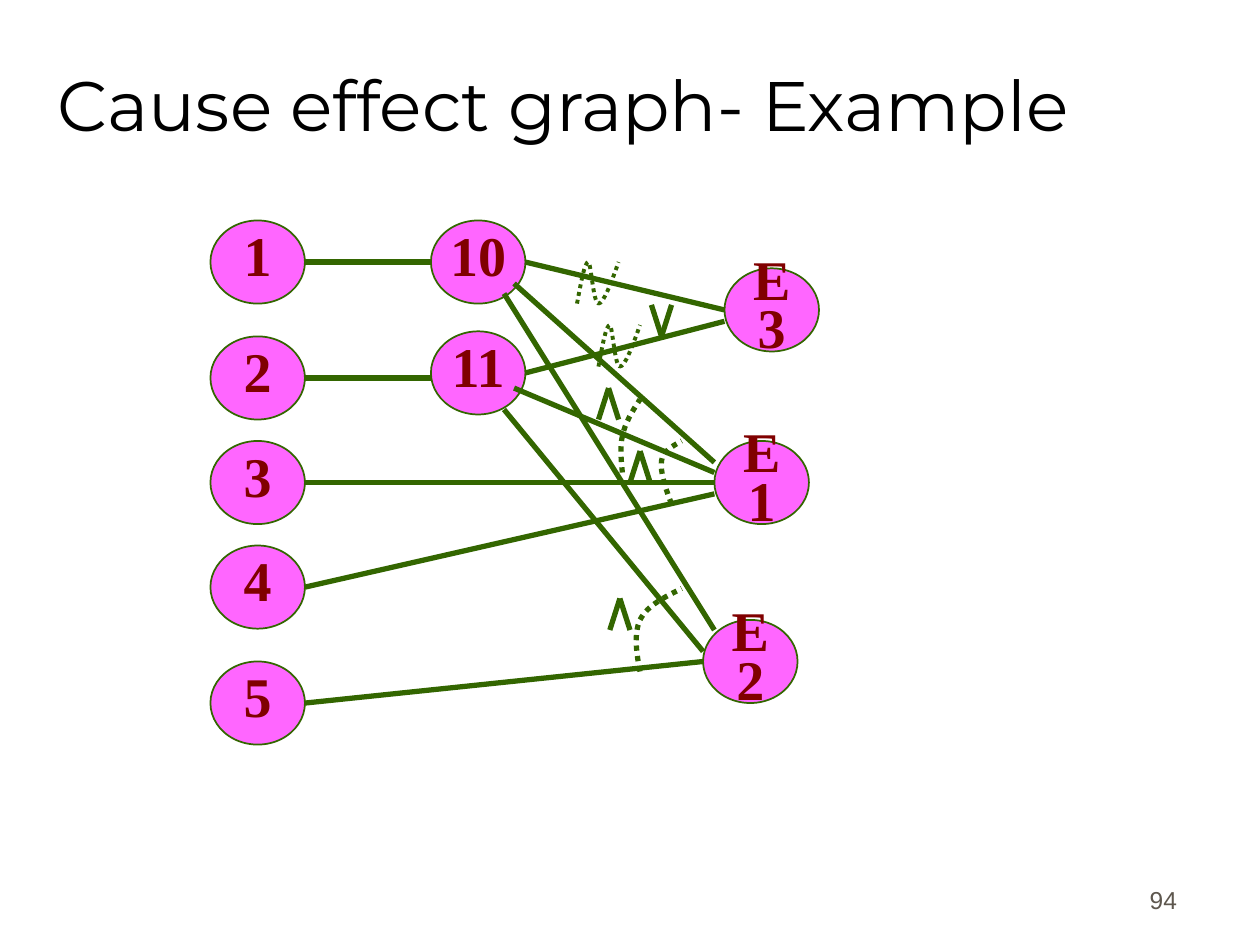
from dataclasses import dataclass
from typing import NamedTuple

from lxml.etree import SubElement
from pptx import Presentation
from pptx.dml.color import RGBColor as RGB
from pptx.enum.dml import MSO_LINE as Dash
from pptx.enum.shapes import MSO_CONNECTOR as Conn, MSO_SHAPE as Kind
from pptx.enum.text import MSO_ANCHOR as Anchor, PP_ALIGN as Align
from pptx.oxml.ns import qn
from pptx.util import Inches, Pt


@dataclass(frozen=True)
class Theme:
    ink: RGB = RGB(0x33, 0x66, 0x00)
    fill: RGB = RGB(0xFF, 0x66, 0xFF)
    label: RGB = RGB(0x80, 0x00, 0x00)
    title: RGB = RGB(0x00, 0x00, 0x00)
    number: RGB = RGB(0x5E, 0x57, 0x4E)
    title_size: float = 40
    label_size: float = 32
    number_size: float = 14
    edge: float = 3
    wave: float = 2.25
    rim: float = 1


class Point(NamedTuple):
    x: float
    y: float

    def shift(self, dx: float, dy: float) -> "Point":
        return Point(self.x + dx, self.y + dy)


@dataclass(frozen=True)
class Node:
    text: str
    x: float
    y: float

    @property
    def left(self) -> Point:
        return Point(self.x, self.y + HIGH / 2)

    @property
    def right(self) -> Point:
        return self.left.shift(WIDE, 0)


class Link(NamedTuple):
    """Joins a node's right side to another's left, each end with an offset."""
    start: str
    end: str
    out: tuple = (0, 0)
    into: tuple = (0, 0)


class Sign(NamedTuple):
    """An AND (tip up) or OR (tip down) mark."""
    tip: Point
    up: bool = True


THEME = Theme()
WIDE, HIGH = 0.75, 0.66

CAUSES = [Node(str(i), 1.67, y)
          for i, y in enumerate((1.75, 2.67, 3.5, 4.33, 5.25), 1)]
MIDDLE = [Node("10", 3.42, 1.75), Node("11", 3.42, 2.63)]
EFFECTS = [Node("E3", 5.75, 2.13), Node("E1", 5.67, 3.5), Node("E2", 5.58, 4.92)]

LINKS = [
    Link("1", "10"),
    Link("2", "11", into=(0, 0.04)),
    Link("3", "E1"),
    Link("4", "E1", into=(0, 0.09)),
    Link("5", "E2"),
    Link("10", "E3"),
    Link("11", "E3", into=(0, 0.09)),
    Link("10", "E1", (-0.09, 0.17), (0, -0.16)),
    Link("11", "E1", (-0.09, 0.12), (0, -0.08)),
    Link("10", "E2", (-0.17, 0.25), (0.09, -0.25)),
    Link("11", "E2", (-0.17, 0.29), (0, -0.08)),
]

SIGNS = [Sign(Point(4.83, 3.08)), Sign(Point(5.08, 3.58)),
         Sign(Point(4.92, 4.75)), Sign(Point(5.25, 2.67), up=False)]

# Bezier chains: a start, then two controls and an end for each piece.
WAVE = [Point(*p) for p in (
    (4.58, 2.41), (4.61, 2.25), (4.64, 2.08), (4.67, 2.08), (4.69, 2.08),
    (4.71, 2.41), (4.75, 2.41), (4.79, 2.41), (4.85, 2.25), (4.91, 2.08))]
WAVES = [[p.shift(dx, dy) for p in WAVE] for dx, dy in ((0, 0), (0.17, 0.5))]
ARCS = [[Point(*p) for p in arc] for arc in (
    ((5.08, 5.33), (5.05, 5.18), (5.03, 5.03), (5.08, 4.92),
     (5.14, 4.8), (5.28, 4.74), (5.41, 4.67)),
    ((5.33, 4), (5.28, 3.87), (5.24, 3.75), (5.25, 3.66),
     (5.26, 3.58), (5.34, 3.54), (5.41, 3.5)),
    ((4.94, 3.75), (4.93, 3.65), (4.92, 3.55), (4.94, 3.46),
     (4.96, 3.36), (5.02, 3.26), (5.08, 3.17)))]


def set_text(shape, text: str, font: str, size: float, color: RGB, align: Align,
             anchor: Anchor, before: float, inset: float = 0.02,
             bold: bool = False) -> None:
    frame = shape.text_frame
    frame.word_wrap = True
    frame.vertical_anchor = anchor
    frame.margin_left = frame.margin_right = Inches(inset)
    para = frame.paragraphs[0]
    para.text = text
    para.alignment = align
    para.space_before = Pt(before)
    para.font.name, para.font.size, para.font.bold = font, Pt(size), bold
    para.font.color.rgb = color


def add_node(shapes, node: Node) -> None:
    oval = shapes.add_shape(Kind.OVAL, Inches(node.x), Inches(node.y),
                            Inches(WIDE), Inches(HIGH))
    oval.shadow.inherit = False
    oval.fill.solid()
    oval.fill.fore_color.rgb = THEME.fill
    oval.line.color.rgb = THEME.ink
    oval.line.width = Pt(THEME.rim)
    set_text(oval, node.text, "Times New Roman", THEME.label_size, THEME.label,
             Align.CENTER, Anchor.MIDDLE, 7.1, bold=True)
    oval.text_frame.paragraphs[0].line_spacing = 0.72


def add_line(shapes, start: Point, end: Point) -> None:
    line = shapes.add_connector(Conn.STRAIGHT, *map(Inches, (*start, *end)))
    line.line.color.rgb = THEME.ink
    line.line.width = Pt(THEME.edge)
    SubElement(line._element.spPr, qn("a:effectLst"))


def add_sign(shapes, sign: Sign) -> None:
    for dx in (-0.08, 0.08):
        add_line(shapes, sign.tip.shift(dx, 0.25 if sign.up else -0.25), sign.tip)


def add_curve(shapes, chain: list[Point], width: float) -> None:
    """Draws a dotted Bezier chain, turning each three line steps into a curve."""
    pen = shapes.build_freeform(*map(Inches, chain[0]))
    pen.add_line_segments([tuple(map(Inches, p)) for p in chain[1:]], close=False)
    curve = pen.convert_to_shape()
    route = next(curve._element.iter(qn("a:path")))
    steps = route.findall(qn("a:lnTo"))
    for i in range(0, len(steps), 3):
        bend = SubElement(route, qn("a:cubicBezTo"))
        for step in steps[i:i + 3]:
            bend.append(step[0])
            route.remove(step)
    curve.shadow.inherit = False
    curve.fill.background()
    curve.line.color.rgb = THEME.ink
    curve.line.width = Pt(width)
    curve.line.dash_style = Dash.ROUND_DOT


def main() -> None:
    deck = Presentation()
    deck.slide_width, deck.slide_height = Inches(10), Inches(7.5)
    shapes = deck.slides.add_slide(deck.slide_layouts[6]).shapes

    number = shapes.add_textbox(*map(Inches, (7.36, 6.81, 2.08, 0.5)))
    set_text(number, "94", "Arial", THEME.number_size, THEME.number,
             Align.RIGHT, Anchor.BOTTOM, 8.8, inset=0.1)
    title = shapes.add_textbox(*map(Inches, (0.44, 0.2, 8.5, 1.25)))
    set_text(title, "Cause effect graph- Example", "Montserrat",
             THEME.title_size, THEME.title, Align.LEFT, Anchor.MIDDLE, 5.2)

    nodes = {node.text: node for node in CAUSES + MIDDLE + EFFECTS}
    for node in nodes.values():
        add_node(shapes, node)
    for link in LINKS:
        add_line(shapes, nodes[link.start].right.shift(*link.out),
                 nodes[link.end].left.shift(*link.into))
    for wave in WAVES:
        add_curve(shapes, wave, THEME.wave)
    for arc in ARCS:
        add_curve(shapes, arc, THEME.edge)
    for sign in SIGNS:
        add_sign(shapes, sign)
    deck.save("out.pptx")


if __name__ == "__main__":
    main()
